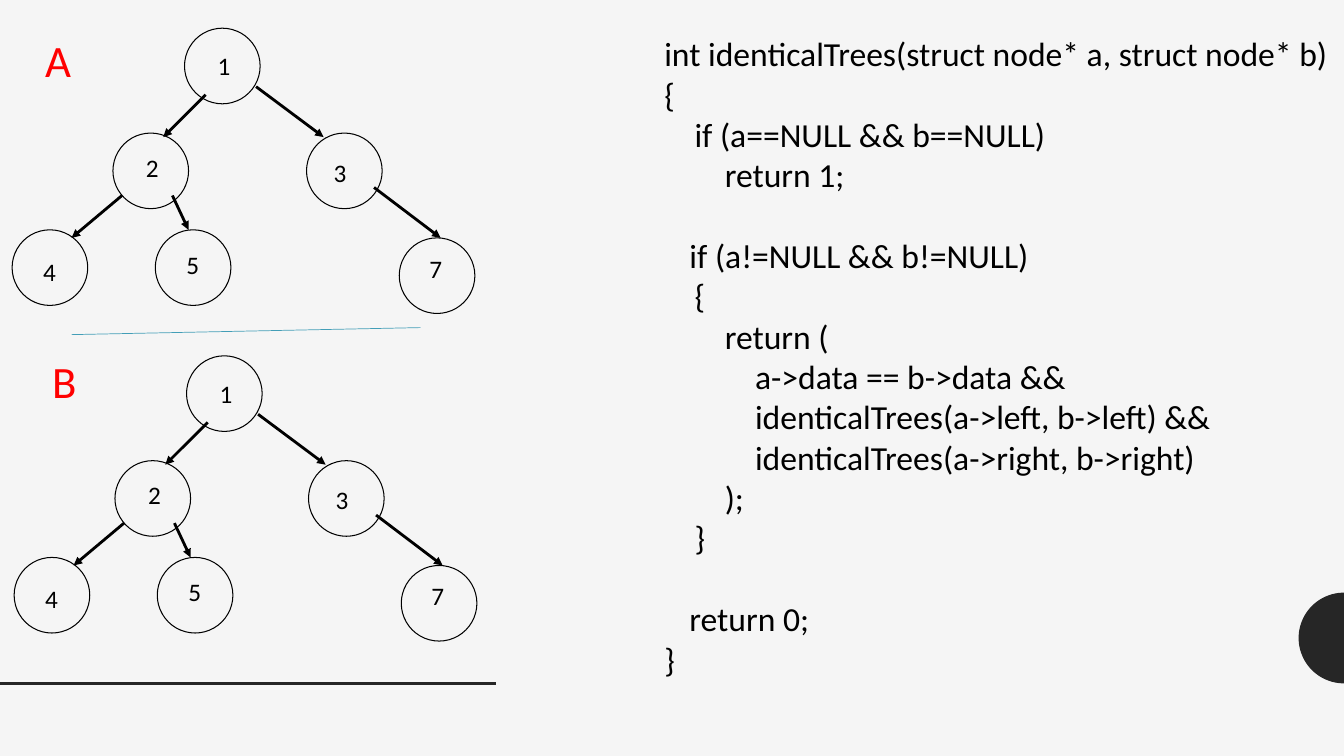
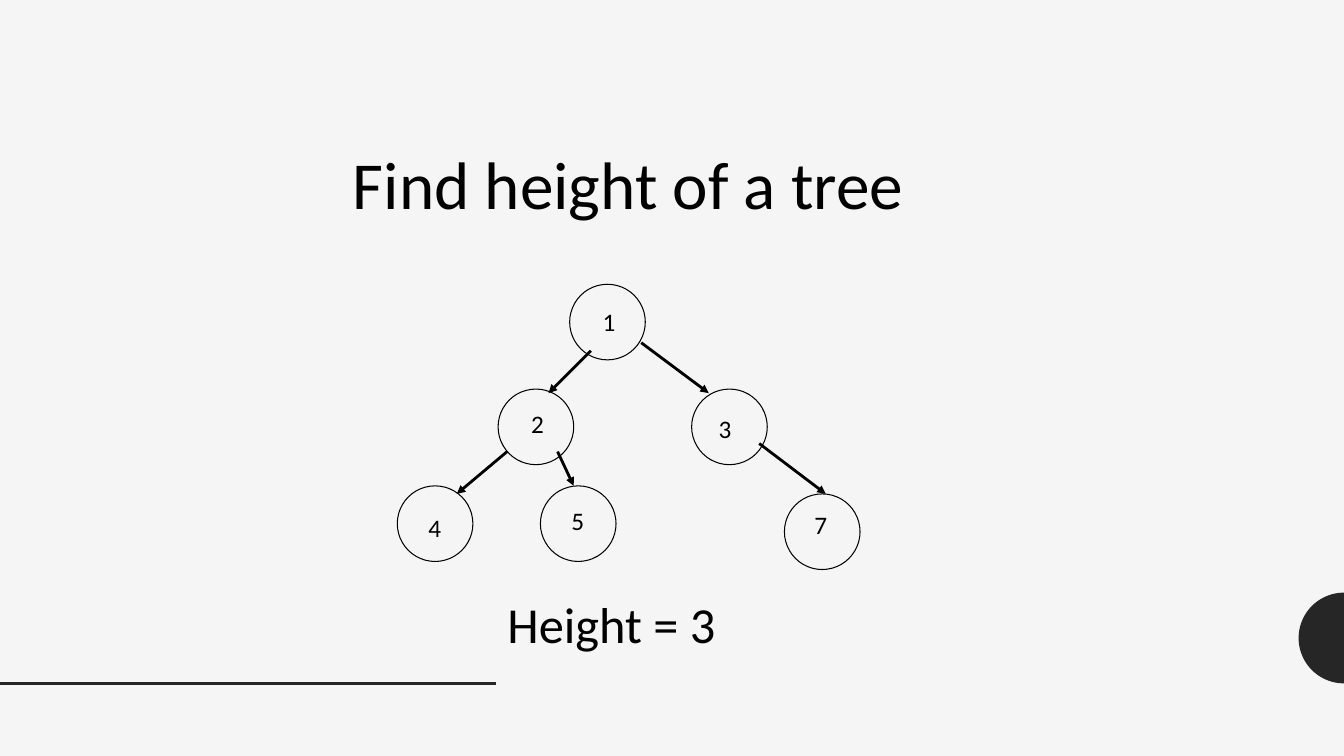
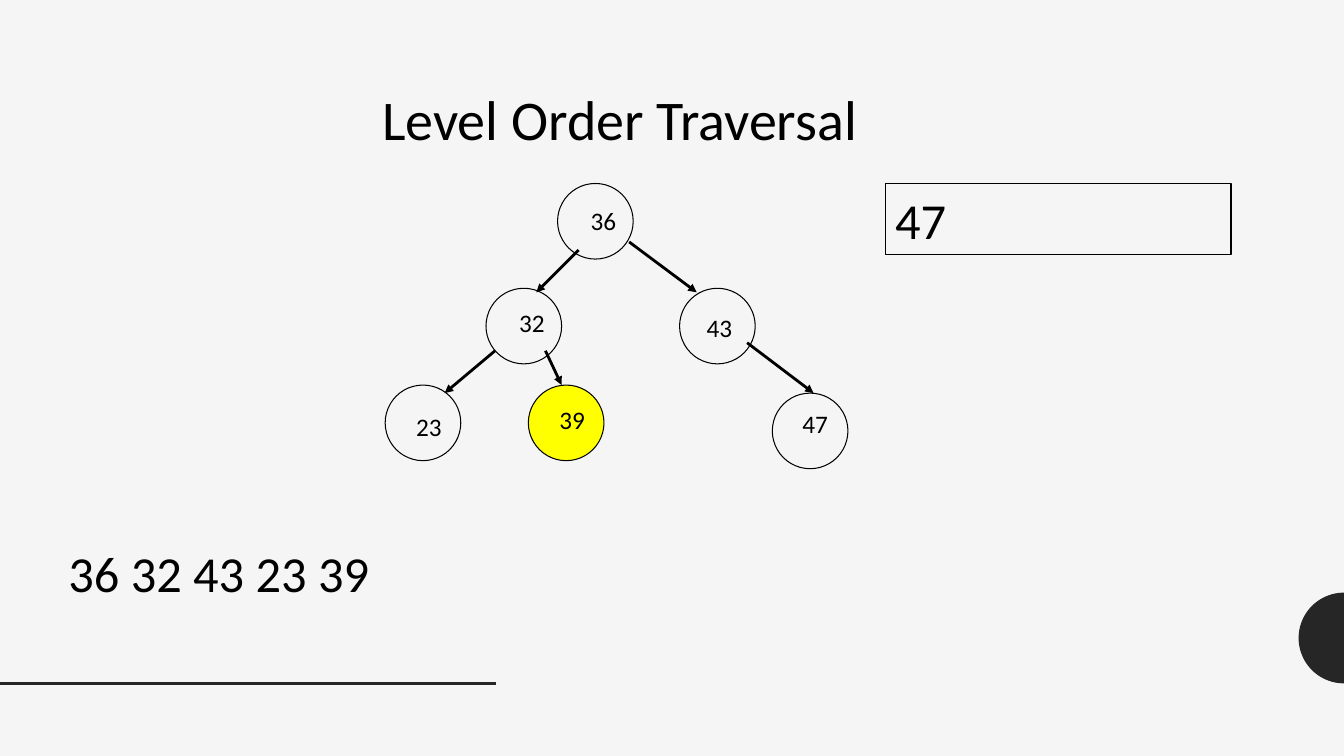
import math

import lxml.etree
import pptx
import pptx.dml.color
import pptx.enum.shapes
import pptx.enum.text
import pptx.oxml.ns
import pptx.util
from pptx.util import Inches

SLIDE_WIDTH, SLIDE_HEIGHT = 13.33, 7.5
FONT = "Calibri"
COLOURS = {
    "background": "F5F5F5",
    "ink": "000000",
    "decoration": "262626",
    "letter": "FF0000",
    "divider": "439EB7",
    "highlight": "FFFF00",
}
TITLE_ONLY, BLANK = 5, 6

# Tree geometry, measured from the top left corner of the root node
NODE_SIZE = 0.75
NODES = [(0, 0), (-0.71, 1.04), (1.21, 1.04), (-1.71, 2), (-0.29, 2), (2.13, 2.08)]
# Label corners, each measured from its own node
LABELS = [(0.23, 0.17), (0.23, 0.14), (0.17, 0.19), (0.21, 0.21), (0.21, 0.14), (0.2, 0.1)]
EDGES = [
    ((0.21, 0.66), (-0.21, 1.08)),
    ((0.71, 0.58), (1.38, 1.08)),
    ((-0.62, 1.66), (-1.12, 2.08)),
    ((-0.12, 1.66), (0.04, 2)),
    ((1.88, 1.58), (2.54, 2.08)),
]

# Each code line: indent in inches, blank lines above it, text
CODE = [
    (0, 0, "int identicalTrees(struct node* a, struct node* b)"),
    (0, 0, "{"),
    (0.3, 0, "if (a==NULL && b==NULL)"),
    (0.6, 0, "return 1;"),
    (0.25, 1, "if (a!=NULL && b!=NULL)"),
    (0.3, 0, "{"),
    (0.6, 0, "return ("),
    (0.9, 0, "a->data == b->data &&"),
    (0.9, 0, "identicalTrees(a->left, b->left) &&"),
    (0.9, 0, "identicalTrees(a->right, b->right)"),
    (0.6, 0, ");"),
    (0.3, 0, "}"),
    (0.25, 1, "return 0;"),
    (0, 0, "}"),
]
CODE_SIZE, CODE_LINE = 24, 29


def colour(name):
    return pptx.dml.color.RGBColor.from_string(COLOURS[name])


def style_paragraph(para, size, ink="ink", align=pptx.enum.text.PP_ALIGN.LEFT):
    para.alignment = align
    para.font.name = FONT
    para.font.size = pptx.util.Pt(size)
    para.font.color.rgb = colour(ink)


def fit_frame(frame, wrap=True):
    frame.word_wrap = wrap
    frame.auto_size = pptx.enum.text.MSO_AUTO_SIZE.SHAPE_TO_FIT_TEXT
    frame.vertical_anchor = pptx.enum.text.MSO_ANCHOR.TOP


def add_text(page, text, left, top, width, height, size, **style):
    box = page.shapes.add_textbox(Inches(left), Inches(top), Inches(width), Inches(height))
    fit_frame(box.text_frame)
    box.text_frame.text = text
    style_paragraph(box.text_frame.paragraphs[0], size, **style)


def set_title(page, text, left, top, width, height, size, wrap=True):
    title = page.shapes.title
    title.left, title.top = Inches(left), Inches(top)
    title.width, title.height = Inches(width), Inches(height)
    title.text_frame.text = text
    fit_frame(title.text_frame, wrap)
    style_paragraph(title.text_frame.paragraphs[0], size)


def add_outline(page, kind, left, top, width, height, fill=None):
    shape = page.shapes.add_shape(kind, Inches(left), Inches(top), Inches(width), Inches(height))
    shape.shadow.inherit = False
    if fill:
        shape.fill.solid()
        shape.fill.fore_color.rgb = colour(fill)
    else:
        shape.fill.background()
    shape.line.color.rgb = colour("ink")
    shape.line.width = pptx.util.Pt(0.75)


def add_line(page, start, end, ink="ink", width=2, arrow=False):
    line = page.shapes.add_connector(
        pptx.enum.shapes.MSO_CONNECTOR.STRAIGHT, *(Inches(value) for value in (*start, *end))
    )
    line.line.color.rgb = colour(ink)
    line.line.width = pptx.util.Pt(width)
    properties = line.element.spPr
    if arrow:
        outline = properties.get_or_add_ln()
        lxml.etree.SubElement(outline, pptx.oxml.ns.qn("a:tailEnd"), type="triangle")
    lxml.etree.SubElement(properties, pptx.oxml.ns.qn("a:effectLst"))
    return line


def add_tree(page, left, top, values, highlighted=None):
    for start, end in EDGES:
        add_line(page, (left + start[0], top + start[1]), (left + end[0], top + end[1]), arrow=True)
    for value, (node_x, node_y), (label_x, label_y) in zip(values, NODES, LABELS):
        x, y = left + node_x, top + node_y
        fill = "highlight" if value == highlighted else None
        add_outline(page, pptx.enum.shapes.MSO_SHAPE.OVAL, x, y, NODE_SIZE, NODE_SIZE, fill)
        add_text(page, str(value), x + label_x, y + label_y, 0.5, 0.4, 18)


def add_code(page, left, top, width, height):
    box = page.shapes.add_textbox(Inches(left), Inches(top), Inches(width), Inches(height))
    frame = box.text_frame
    fit_frame(frame, wrap=False)
    frame.text = "\n".join(text for indent, blanks, text in CODE)
    for para, (indent, blanks, text) in zip(frame.paragraphs, CODE):
        style_paragraph(para, CODE_SIZE)
        para.space_before = pptx.util.Pt(blanks * CODE_LINE)
        para._p.get_or_add_pPr().set("marL", str(Inches(indent)))


def add_half_disc(page, centre_y, radius):
    angles = [math.pi * step / 48 for step in range(49)]
    points = [
        (Inches(SLIDE_WIDTH - radius * math.sin(angle)), Inches(centre_y + radius * math.cos(angle)))
        for angle in angles
    ]
    builder = page.shapes.build_freeform(*points[0])
    builder.add_line_segments(points[1:])
    disc = builder.convert_to_shape()
    disc.shadow.inherit = False
    disc.fill.solid()
    disc.fill.fore_color.rgb = colour("decoration")
    disc.line.fill.background()
    return disc


def decorate_master(deck, page):
    """Draw the shared decoration on a page, then move it to the master."""
    master = deck.slide_master
    master.background.fill.solid()
    master.background.fill.fore_color.rgb = colour("background")
    decoration = [
        add_half_disc(page, 6.33, 0.45),
        add_line(page, (0, 6.78), (4.92, 6.78), "decoration"),
    ]
    for number, shape in enumerate(decoration, start=101):
        shape.element.xpath(".//p:cNvPr")[0].set("id", str(number))
        master.shapes.element.append(shape.element)


def build_identical_trees(page):
    values = [1, 2, 3, 4, 5, 7]
    add_code(page, 6.49, 0.28, 6.84, 6.56)
    add_tree(page, 1.83, 0.28, values)
    add_tree(page, 1.85, 3.53, values)
    add_line(page, (0.71, 3.32), (4.17, 3.25), "divider", 0.5)
    add_text(page, "A", 0.35, 0.28, 1, 0.64, 32, ink="letter")
    add_text(page, "B", 0.42, 3.46, 1, 0.64, 32, ink="letter")


def build_tree_height(page):
    set_title(page, "Find height of a tree", 3.4, 1.36, 5.72, 0.91, 48, wrap=False)
    add_tree(page, 5.65, 2.82, [1, 2, 3, 4, 5, 7])
    add_text(page, "Height = 3", 3.94, 5.83, 4.25, 0.71, 36, align=pptx.enum.text.PP_ALIGN.CENTER)


def build_level_order(page):
    set_title(page, "Level Order Traversal", 3.69, 0.79, 9.97, 0.77, 40)
    add_tree(page, 5.53, 1.82, [36, 32, 43, 23, 39, 47], highlighted=39)
    # Queue and visited nodes
    add_outline(page, pptx.enum.shapes.MSO_SHAPE.RECTANGLE, 8.78, 1.82, 3.43, 0.71)
    add_text(page, "36 32 43 23 39", 0.58, 5.33, 5.41, 0.71, 36)
    add_text(page, "47", 8.78, 1.83, 2.6, 0.71, 36)


def main():
    deck = pptx.Presentation()
    deck.slide_width, deck.slide_height = Inches(SLIDE_WIDTH), Inches(SLIDE_HEIGHT)
    layouts = deck.slide_layouts
    trees_page = deck.slides.add_slide(layouts[BLANK])
    decorate_master(deck, trees_page)
    build_identical_trees(trees_page)
    build_tree_height(deck.slides.add_slide(layouts[TITLE_ONLY]))
    build_level_order(deck.slides.add_slide(layouts[TITLE_ONLY]))
    deck.save("out.pptx")


main()
